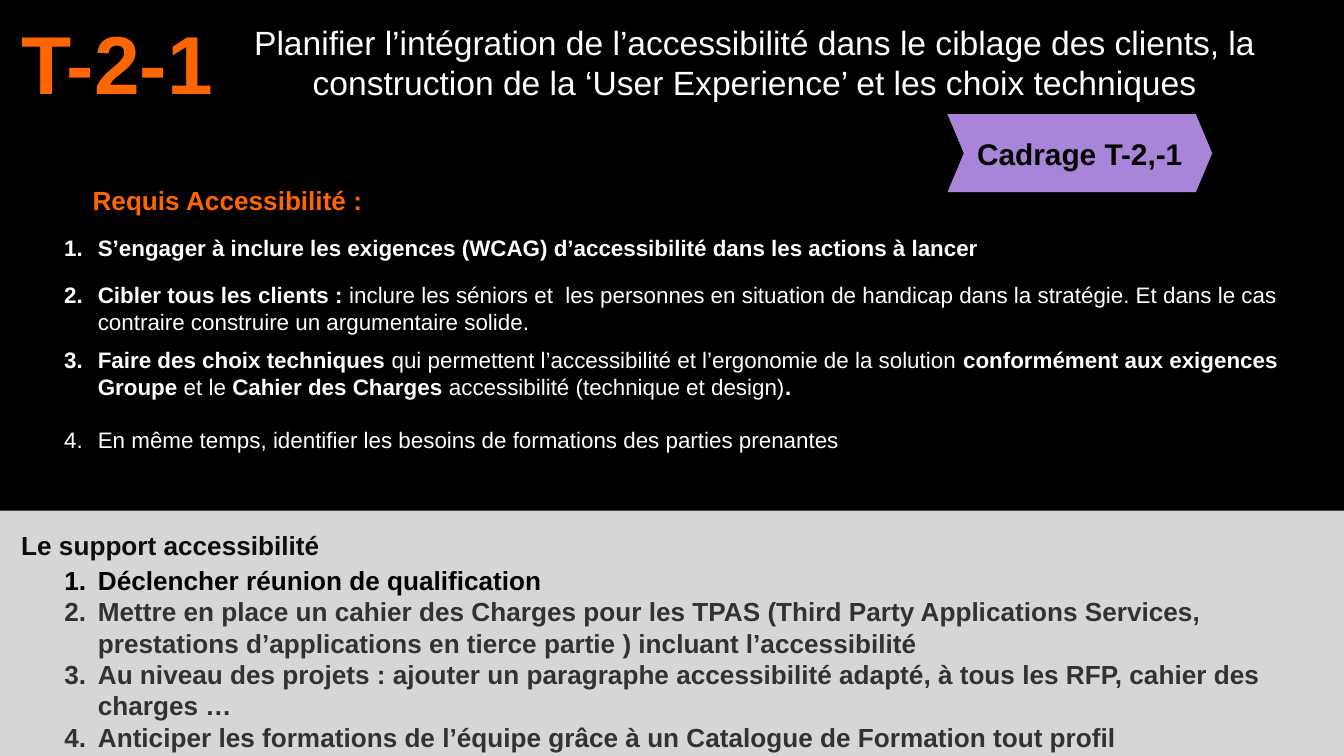
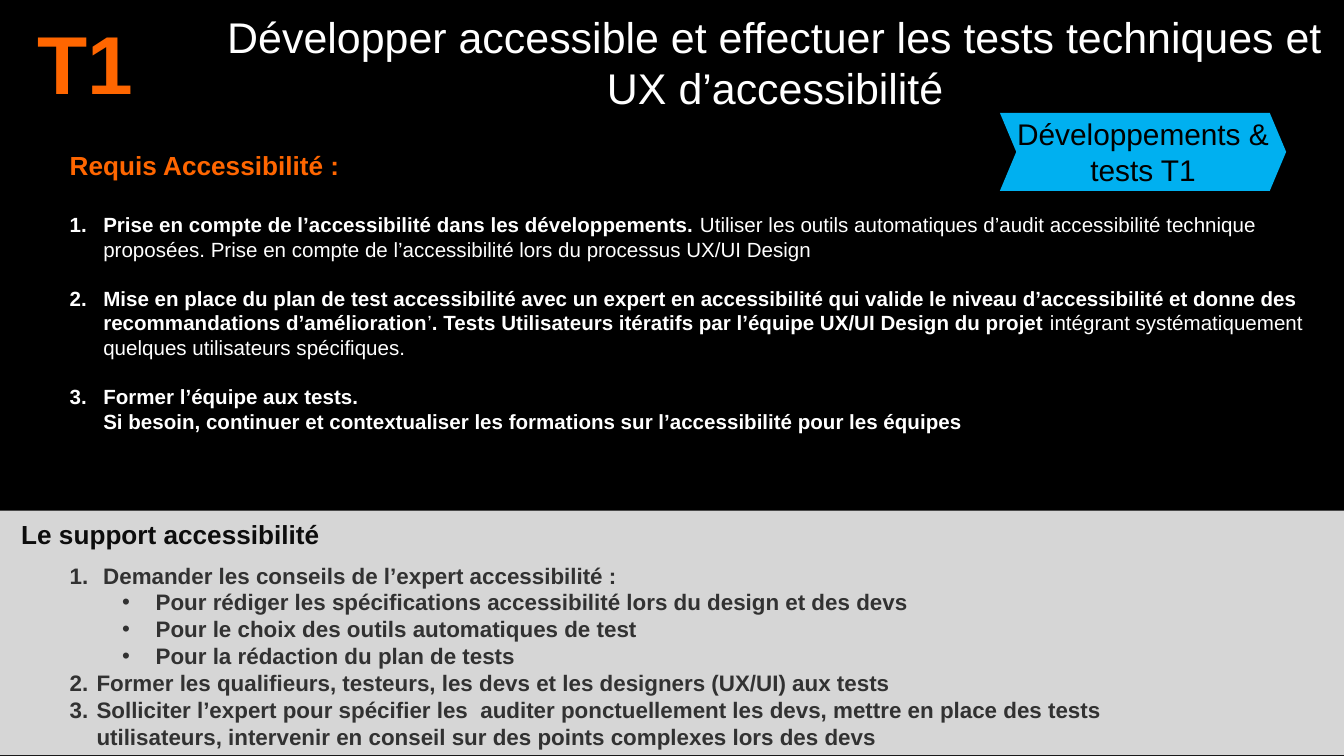
import pptx
import pptx.util
import pptx.dml.color
import pptx.enum.shapes
import pptx.enum.text
import pptx.oxml.ns
from dataclasses import dataclass
from lxml import etree

Inches, Pt = pptx.util.Inches, pptx.util.Pt
RGB = pptx.dml.color.RGBColor.from_string
Align, Anchor = pptx.enum.text.PP_ALIGN, pptx.enum.text.MSO_ANCHOR
Kind = pptx.enum.shapes.MSO_SHAPE


@dataclass(frozen=True)
class Theme:
    font: str = "Arial"
    black: str = "000000"
    white: str = "FFFFFF"
    orange: str = "FF6600"
    gray: str = "D6D6D6"
    ink: str = "0D0D0D"
    soft: str = "323232"
    violet: str = "A885D8"
    blue: str = "00B0F0"
    code: int = 44
    head: int = 14
    step: int = 16


T = Theme()


def box(slide, place, fill=None, kind=Kind.RECTANGLE):
    """Add a filled shape, or a plain text box when no fill is given."""
    place = [Inches(v) for v in place]
    if fill is None:
        shape = slide.shapes.add_textbox(*place)
    else:
        shape = slide.shapes.add_shape(kind, *place)
        shape.shadow.inherit = False
        shape.fill.solid()
        shape.fill.fore_color.rgb = RGB(fill)
        shape.line.fill.background()
    shape.text_frame.word_wrap = True
    return shape


def write(shape, items, size, color, bold=False, align=Align.LEFT, inset=None):
    """Fill a shape with paragraphs.

    An item is plain text or a dict: text, gap (points before), mark
    (number or bullet), left (indent), level, color. Stars in the text
    enclose bold runs.
    """
    frame = shape.text_frame
    if inset:
        frame.margin_left = frame.margin_right = Inches(inset[0])
        frame.margin_top = frame.margin_bottom = Inches(inset[1])
        frame.vertical_anchor = Anchor.MIDDLE
    for i, item in enumerate(items):
        if isinstance(item, str):
            item = {"text": item}
        para = frame.paragraphs[0] if i == 0 else frame.add_paragraph()
        para.alignment = align
        para.level = item.get("level", 0)
        if item.get("gap"):
            para.space_before = Pt(item["gap"])
        if "mark" in item:
            props = para._p.get_or_add_pPr()
            props.set("marL", str(Inches(item.get("left", 0.25))))
            props.set("indent", str(Inches(-0.25)))
            if item["mark"] == "1.":
                tag, attr, value = "a:buAutoNum", "type", "arabicPeriod"
            else:
                tag, attr, value = "a:buChar", "char", item["mark"]
                etree.SubElement(props, pptx.oxml.ns.qn("a:buFont")).set("typeface", T.font)
            etree.SubElement(props, pptx.oxml.ns.qn(tag)).set(attr, value)
        font = para.font
        font.name, font.size = T.font, Pt(size)
        font.color.rgb = RGB(item.get("color", color))
        parts = item["text"].split("*")
        if len(parts) == 1:
            font.bold = bold
        for j, part in enumerate(parts):
            for k, line in enumerate(part.split("\n")):
                if k:
                    para.add_line_break()
                if line:
                    run = para.add_run()
                    run.text = line
                    if len(parts) > 1:
                        run.font.bold = j % 2 == 1


pages = [
    {
        "code": "T-2-1", "code_at": (0.06, 0.04, 2.74, 0.84), "code_align": Align.LEFT,
        "title": "Planifier l’intégration de l’accessibilité dans le ciblage des clients, la "
                 "construction de la ‘User Experience’ et les choix techniques",
        "title_at": (1.22, 0, 8.79, 0.92), "title_size": 18, "title_inset": (0.39, 0),
        "step": "Cadrage T-2,-1", "step_at": (7.05, 0.85, 1.97, 0.58),
        "step_fill": T.violet, "step_bold": True, "step_inset": (0.04, 0.05),
        "need_at": (0.59, 1.32, 9.59, 0.34),
        "list_at": (0.38, 1.69, 9.67, 1.75), "list_size": 12,
        "list": [
            {"text": "*S’engager à inclure les exigences (WCAG) d’accessibilité dans les "
                     "actions à lancer*"},
            {"text": "*Cibler tous les clients :* inclure les séniors et  les personnes en "
                     "situation de handicap dans la stratégie. Et dans le cas contraire "
                     "construire un argumentaire solide.", "gap": 11},
            {"text": "*Faire des choix techniques *qui permettent l’accessibilité et "
                     "l’ergonomie de la solution *conformément aux exigences Groupe *et le "
                     "*Cahier des Charges *accessibilité (technique et design)*.*", "gap": 6},
            {"text": "En même temps, identifier les besoins de formations des parties "
                     "prenantes", "gap": 14},
        ],
        "band": (0, 3.73, 10, 1.92), "help_top": 3.89,
        "help_at": (0.38, 4.15, 9.42, 1.51), "help_size": 14,
        "help": [
            {"text": "Déclencher réunion de qualification", "color": T.black},
            {"text": "Mettre en place un cahier des Charges pour les TPAS (Third Party "
                     "Applications Services, prestations d’applications en tierce partie ) "
                     "incluant l’accessibilité"},
            {"text": "Au niveau des projets : ajouter un paragraphe accessibilité adapté, à "
                     "tous les RFP, cahier des charges …"},
            {"text": "Anticiper les formations de l’équipe grâce à un Catalogue de Formation "
                     "tout profil"},
        ],
    },
    {
        "code": "T1", "code_at": (0.06, 0.04, 1.15, 0.84), "code_align": Align.CENTER,
        "title": "Développer accessible et effectuer les tests techniques et UX "
                 "d’accessibilité",
        "title_at": (1.54, 0.02, 8.46, 0.88), "title_size": 23, "title_inset": (0.1, 0.05),
        "step": "Développements & tests T1", "step_at": (7.44, 0.84, 2.13, 0.58),
        "step_fill": T.blue, "step_bold": False, "step_inset": (0, 0),
        "need_at": (0.42, 1.06, 5.9, 0.34),
        "list_at": (0.42, 1.53, 9.75, 1.77), "list_size": 11,
        "list": [
            {"text": "*Prise en compte de l’accessibilité dans les développements. *Utiliser "
                     "les outils automatiques d’audit accessibilité technique proposées. Prise "
                     "en compte de l’accessibilité lors du processus UX/UI Design"},
            {"text": "*Mise en place du plan de test accessibilité avec un expert en "
                     "accessibilité qui valide le niveau d’accessibilité et donne des "
                     "recommandations d’amélioration*’*. Tests Utilisateurs itératifs par "
                     "l’équipe UX/UI Design du projet *intégrant systématiquement quelques "
                     "utilisateurs spécifiques.", "gap": 13},
            {"text": "*Former l’équipe aux tests. \nSi besoin, continuer et contextualiser les "
                     "formations sur l’accessibilité pour les équipes*", "gap": 13},
        ],
        "band": (0, 3.49, 10, 2.13), "help_top": 3.81,
        "help_at": (0.42, 4.13, 8.83, 1.51), "help_size": 12,
        "help": [
            {"text": "Demander les conseils de l’expert accessibilité :"},
            *({"text": text, "mark": "•", "left": 0.64, "level": 1} for text in (
                "Pour rédiger les spécifications accessibilité lors du design et des devs",
                "Pour le choix des outils automatiques de test",
                "Pour la rédaction du plan de tests")),
            {"text": "Former les qualifieurs, testeurs, les devs et les designers (UX/UI) aux "
                     "tests", "left": 0.2},
            {"text": "Solliciter l’expert pour spécifier les  auditer ponctuellement les devs, "
                     "mettre en place des tests utilisateurs, intervenir en conseil sur des "
                     "points complexes lors des devs", "left": 0.2},
        ],
    },
]

deck = pptx.Presentation()
deck.slide_width = Inches(10)
deck.slide_height = deck.slide_width * 9 // 16

for page in pages:
    slide = deck.slides.add_slide(deck.slide_layouts[6])
    slide.background.fill.solid()
    slide.background.fill.fore_color.rgb = RGB(T.black)

    # Bands
    box(slide, page["band"], T.gray)
    box(slide, (0, 1.1, 10, 2.7), T.black)

    # Header
    write(box(slide, page["title_at"], T.black), [page["title"]], page["title_size"],
          T.white, align=Align.CENTER, inset=page["title_inset"])
    box(slide, (0, 0, 1.38, 0.92), T.black)
    write(box(slide, page["code_at"]), [page["code"]], T.code, T.orange, True,
          page["code_align"])

    # Needs and support
    write(box(slide, page["need_at"]), ["Requis Accessibilité :"], T.head, T.orange, True)
    write(box(slide, page["list_at"]), [{"mark": "1.", **item} for item in page["list"]],
          page["list_size"], T.white)
    write(box(slide, (0.06, page["help_top"], 5.9, 0.34)), ["Le support accessibilité"],
          T.head, T.ink, True)
    write(box(slide, page["help_at"]), [{"mark": "1.", **item} for item in page["help"]],
          page["help_size"], T.soft, True)

    # Project step
    step = box(slide, page["step_at"], page["step_fill"], Kind.CHEVRON)
    step.adjustments[0] = 0.21
    write(step, [page["step"]], T.step, T.black, page["step_bold"], Align.CENTER,
          page["step_inset"])

deck.save("out.pptx")
